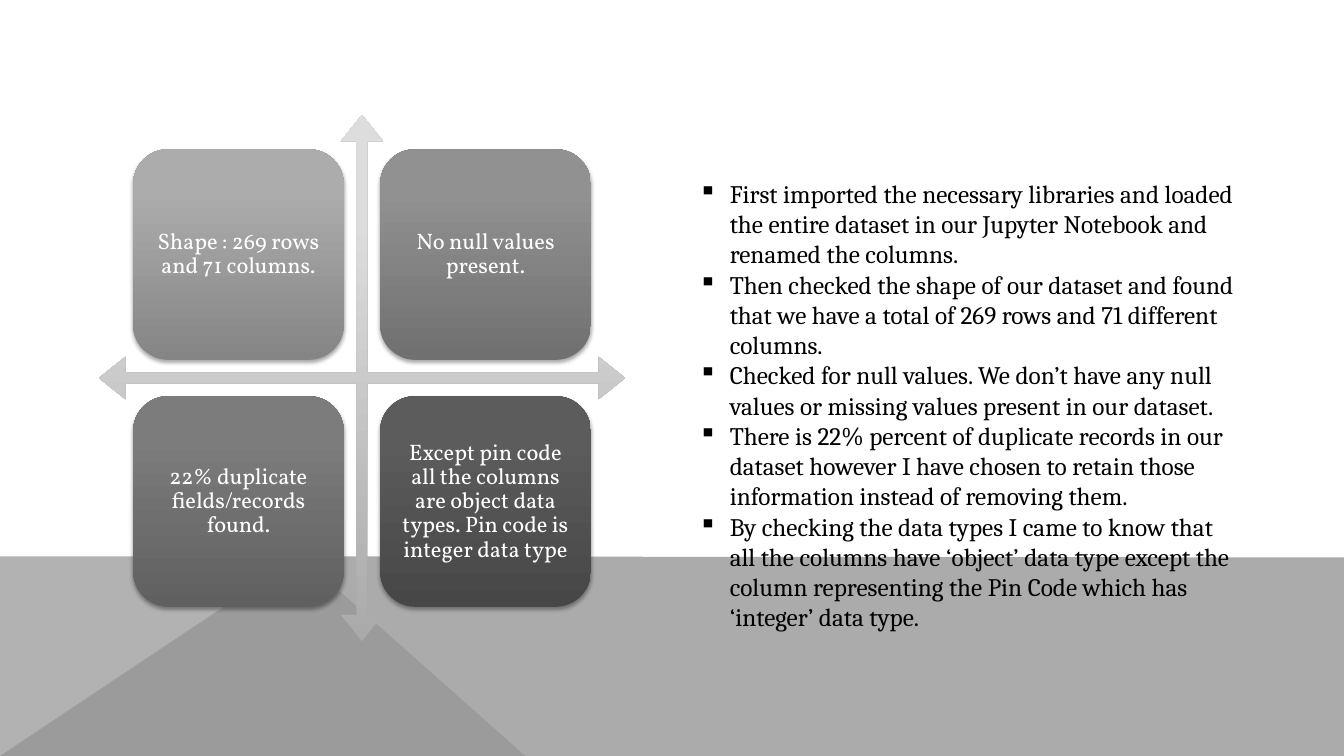
from lxml import etree
from pptx import Presentation, util as u
from pptx.dml.color import RGBColor
from pptx.enum import shapes, text
from pptx.oxml.ns import qn

CARDS = [
    ("Shape : 269 rows and 71 columns.", "858585", "ACACAC"),
    ("No\u00a0null values present.", "707070", "919191"),
    ("22%\u00a0duplicate fields/records found.", "606060", "7C7C7C"),
    ("Except pin code all the columns are object data types. "
     "Pin code is integer data type", "474747", "5C5C5C"),
]
NOTES = [
    "First imported the necessary libraries and loaded the entire dataset "
    "in our Jupyter Notebook and renamed the columns.",
    "Then checked the shape of our dataset and found that we have a total "
    "of 269 rows and 71 different columns.",
    "Checked for null values. We don’t have any null values or missing "
    "values present in our dataset.",
    "There is 22% percent of duplicate records in our dataset however I "
    "have chosen to retain those information instead of removing them.",
    "By checking the data types I came to know that all the columns have "
    "‘object’ data type except the column representing the Pin Code which "
    "has ‘integer’ data type.",
]
FLOOR = [
    ([(0, 7.5), (0, 5.52), (2.98, 5.52), (5.21, 7.5)], "B2B2B2", 100),
    ([(0, 7.5), (2.97, 5.52), (13.33, 5.53), (13.33, 7.5)], "969696", 80),
]
THEME = {
    "card": {"font": "Vollkorn", "size": 16, "color": "FFFFFF"},
    "note": {"font": "Cambria", "size": 18, "color": "000000"},
    "arrow": ("AAAAAA", "DDDDDD"),
    "shade": "000000",
}
CROSS = (0.98, 1.14, 5.22)
SIDE, STEP, LEFT, TOP = 2.09, 2.45, 1.32, 1.48


def add(up, tag, **attrs):
    return etree.SubElement(up, qn(tag), {k: str(v) for k, v in attrs.items()})


def blend(shape, low, high):
    shape.shadow.inherit = False
    shape.line.fill.background()
    shape.fill.gradient()
    shape.fill.gradient_angle = 90
    for stop, tone, at in zip(shape.fill.gradient_stops, (low, high), (0, 0.8)):
        stop.color.rgb = RGBColor.from_string(tone)
        stop.position = at


def shade(shape):
    effect = shape._element.spPr.find(qn("a:effectLst"))
    drop = add(effect, "a:outerShdw", blurRad=u.Pt(3.1), dist=u.Pt(1.8),
               dir=5400000, algn="ctr", rotWithShape=0)
    tone = add(drop, "a:srgbClr", val=THEME["shade"])
    add(tone, "a:alpha", val=35000)


def write(shape, lines, font, size, color, align=text.PP_ALIGN.LEFT,
          anchor=text.MSO_ANCHOR.TOP, gap=1.0, inset=None, mark=None):
    frame = shape.text_frame
    frame.word_wrap = True
    frame.vertical_anchor = anchor
    if inset is not None:
        frame.margin_left = frame.margin_right = u.Inches(inset)
        frame.margin_top = frame.margin_bottom = u.Inches(inset)
    for i, line in enumerate(lines):
        para = frame.add_paragraph() if i else frame.paragraphs[0]
        para.text = line
        para.alignment = align
        para.line_spacing = gap
        if mark:
            props = para._p.get_or_add_pPr()
            props.set("marL", str(u.Inches(0.31)))
            props.set("indent", str(u.Inches(-0.31)))
            add(props, "a:buChar", char=mark)
        para.font.name = font
        para.font.size = u.Pt(size)
        para.font.color.rgb = RGBColor.from_string(color)
    return frame


def draw_floor(slide):
    for points, tone, alpha in FLOOR:
        spots = [(u.Inches(x), u.Inches(y)) for x, y in points]
        pen = slide.shapes.build_freeform(*spots[0])
        pen.add_line_segments(spots[1:], close=True)
        plane = pen.convert_to_shape()
        plane.shadow.inherit = False
        plane.line.fill.background()
        plane.fill.solid()
        plane.fill.fore_color.rgb = RGBColor.from_string(tone)
        if alpha < 100:
            color = plane._element.spPr.find(".//" + qn("a:srgbClr"))
            add(color, "a:alpha", val=alpha * 1000)


def draw_grid(slide):
    x, y, size = map(u.Inches, CROSS)
    cross = slide.shapes.add_shape(shapes.MSO_SHAPE.QUAD_ARROW, x, y, size, size)
    for i, value in enumerate((0.02, 0.04, 0.05)):
        cross.adjustments[i] = value
    blend(cross, *THEME["arrow"])
    side = u.Inches(SIDE)
    for i, (words, low, high) in enumerate(CARDS):
        row, col = divmod(i, 2)
        card = slide.shapes.add_shape(
            shapes.MSO_SHAPE.ROUNDED_RECTANGLE, u.Inches(LEFT + col * STEP),
            u.Inches(TOP + row * STEP), side, side)
        blend(card, low, high)
        shade(card)
        write(card, [words], **THEME["card"], align=text.PP_ALIGN.CENTER,
              anchor=text.MSO_ANCHOR.MIDDLE, gap=0.9, inset=0.07)


def draw_notes(slide):
    box = slide.shapes.add_textbox(*map(u.Inches, (6.83, 1.72, 5.58, 4.64)))
    frame = write(box, NOTES, **THEME["note"], mark="▪")
    frame.auto_size = text.MSO_AUTO_SIZE.SHAPE_TO_FIT_TEXT


def main():
    deck = Presentation()
    deck.slide_width, deck.slide_height = u.Inches(13.33), u.Inches(7.5)
    slide = deck.slides.add_slide(deck.slide_layouts[6])
    draw_floor(slide)
    draw_grid(slide)
    draw_notes(slide)
    deck.save("out.pptx")


if __name__ == "__main__":
    main()
